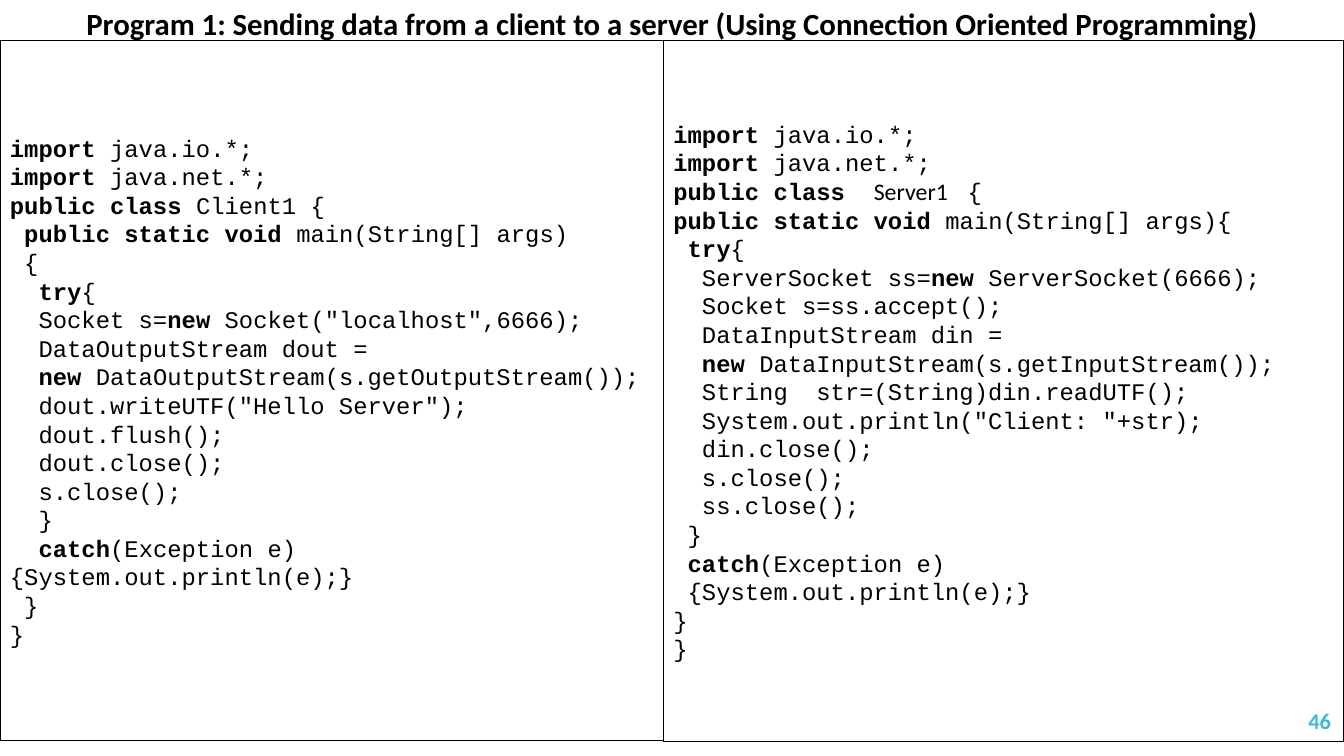
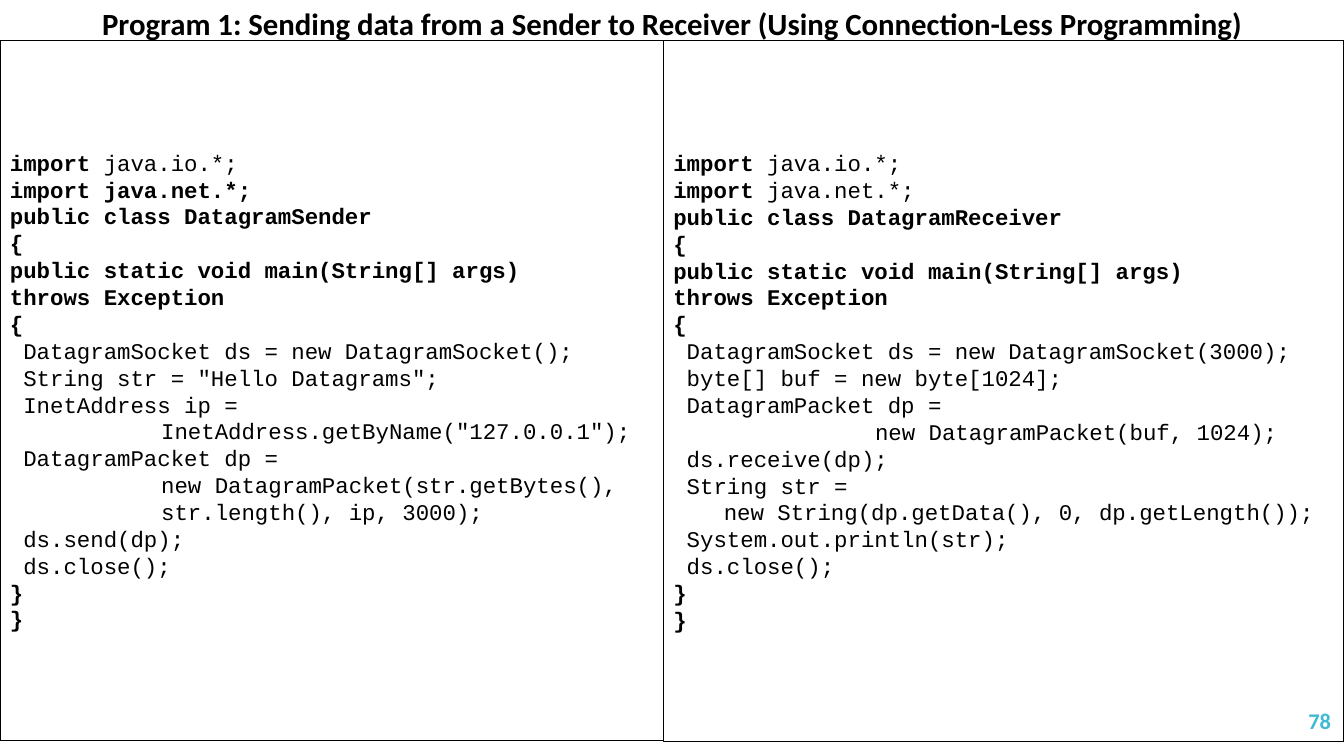
from pptx import Presentation
from pptx.dml.color import RGBColor
from pptx.enum.shapes import MSO_SHAPE
from pptx.enum.text import MSO_ANCHOR, MSO_AUTO_SIZE, PP_ALIGN
from pptx.util import Inches, Pt

RECT = MSO_SHAPE.RECTANGLE
TOP, MIDDLE = MSO_ANCHOR.TOP, MSO_ANCHOR.MIDDLE
LEFT, CENTER, RIGHT = PP_ALIGN.LEFT, PP_ALIGN.CENTER, PP_ALIGN.RIGHT
NO_FIT = MSO_AUTO_SIZE.NONE

COLORS = {"ink": "000000", "paper": "FFFFFF", "accent": "40BAD2"}
SANS, MONO = "Calibri", "Courier New"
TITLE_ONLY = 5
TAB = 0.5

# Code markup: `bold`, ~sans font~, one leading tab per indent step
CLIENT = """`import` java.io.*;
`import` java.net.*;
`public class` Client1 {
` public static void` main(String[] args)
 {
`  try`{
  Socket s=`new` Socket("localhost",6666);
  DataOutputStream dout =
`  new` DataOutputStream(s.getOutputStream());
  dout.writeUTF("Hello Server");
  dout.flush();
  dout.close();
  s.close();
  }
`  catch`(Exception e)
{System.out.println(e);}
 }
}"""

SERVER = """`import` java.io.*;
`import` java.net.*;
`public class`  ~Server1 ~ {
`public static void` main(String[] args){
` try`{
  ServerSocket ss=`new` ServerSocket(6666);
  Socket s=ss.accept();
  DataInputStream din =
`  new` DataInputStream(s.getInputStream());
  String  str=(String)din.readUTF();
  System.out.println("Client: "+str);
  din.close();
  s.close();
  ss.close();
 }
` catch`(Exception e)
 {System.out.println(e);}
}
}"""

SENDER = """`import` java.io.*;
`import java.net.*;`
`public class DatagramSender`
`{`
`public static void main(String[] args)`
`throws Exception`
`{`
 DatagramSocket ds = new DatagramSocket();
 String str = "Hello Datagrams";
 InetAddress ip =
\t\t\tInetAddress.getByName("127.0.0.1");
 DatagramPacket dp =
\t\t\tnew DatagramPacket(str.getBytes(),
\t\t\tstr.length(), ip, 3000);
 ds.send(dp);
 ds.close();
`}`
`}`"""

RECEIVER = """`import` java.io.*;
`import` java.net.*;
`public class DatagramReceiver`
`{`
`public static void main(String[] args)`
`throws Exception`
`{`
 DatagramSocket ds = new DatagramSocket(3000);
 byte[] buf = new byte[1024];
 DatagramPacket dp =
\t\t\t\tnew DatagramPacket(buf, 1024);
 ds.receive(dp);
 String str =
\tnew String(dp.getData(), 0, dp.getLength());
 System.out.println(str);
 ds.close();
`}`
`}`"""


def rgb(name):
    return RGBColor.from_string(COLORS[name])


def add_run(p, text, size, font=SANS, color="ink", bold=False):
    r = p.add_run()
    r.text = text
    r.font.name, r.font.size, r.font.bold = font, Pt(size), bold
    r.font.color.rgb = rgb(color)


class Deck:
    """Holds the presentation, its style and the current slide."""

    def __init__(self):
        self.prs = Presentation()
        self.prs.slide_width, self.prs.slide_height = Inches(13.33), Inches(7.5)

    def new_slide(self):
        self.s = self.prs.slides.add_slide(self.prs.slide_layouts[TITLE_ONLY])

    def frame(self, sp, anchor):
        tf = sp.text_frame
        tf.word_wrap, tf.auto_size, tf.vertical_anchor = True, NO_FIT, anchor
        return tf

    def title(self, text):
        sp = self.s.shapes.title
        sp.left, sp.top = Inches(0), Inches(0)
        sp.width, sp.height = Inches(13.33), Inches(0.47)
        p = self.frame(sp, TOP).paragraphs[0]
        p.alignment = CENTER
        add_run(p, text, 22, bold=True)
        # Keep the title in front of the code panels
        self.s.shapes.element.append(sp.element)

    def code_panel(self, code, x, w, h, size):
        sp = self.s.shapes.add_shape(RECT, Inches(x), Inches(0.4), Inches(w), Inches(h))
        sp.shadow.inherit = False
        sp.fill.solid()
        sp.fill.fore_color.rgb = rgb("paper")
        sp.line.color.rgb = rgb("ink")
        sp.line.width = Pt(0.85)
        tf = self.frame(sp, MIDDLE)
        for i, line in enumerate(code.split("\n")):
            p = tf.add_paragraph() if i else tf.paragraphs[0]
            self.code_line(p, line, size)

    def code_line(self, p, line, size):
        p.alignment = LEFT
        text = line.lstrip("\t")
        steps = len(line) - len(text)
        if steps:
            p._p.get_or_add_pPr().set("marL", str(Inches(TAB * steps)))
        for i, part in enumerate(text.split("`")):
            for j, piece in enumerate(part.split("~")):
                if piece:
                    add_run(p, piece, size, SANS if j % 2 else MONO, bold=i % 2 == 1)

    def page_number(self, number):
        sp = self.s.shapes.add_textbox(Inches(11.63), Inches(6.95), Inches(1.67), Inches(0.4))
        p = self.frame(sp, MIDDLE).paragraphs[0]
        p.alignment = RIGHT
        add_run(p, str(number), 16, color="accent", bold=True)

    def program_slide(self, title, left_code, right_code, size, number):
        self.new_slide()
        self.code_panel(right_code, 6.58, 6.75, 6.96, size)
        self.code_panel(left_code, 0, 6.58, 6.95, size)
        self.title(title)
        self.page_number(number)


def main():
    deck = Deck()
    deck.program_slide(
        "Program 1: Sending data from a client to a server (Using Connection Oriented Programming)",
        CLIENT, SERVER, 17, 46)
    deck.program_slide(
        "Program 1: Sending data from a Sender to Receiver (Using Connection-Less Programming)",
        SENDER, RECEIVER, 16, 78)
    deck.prs.save("out.pptx")


if __name__ == "__main__":
    main()
